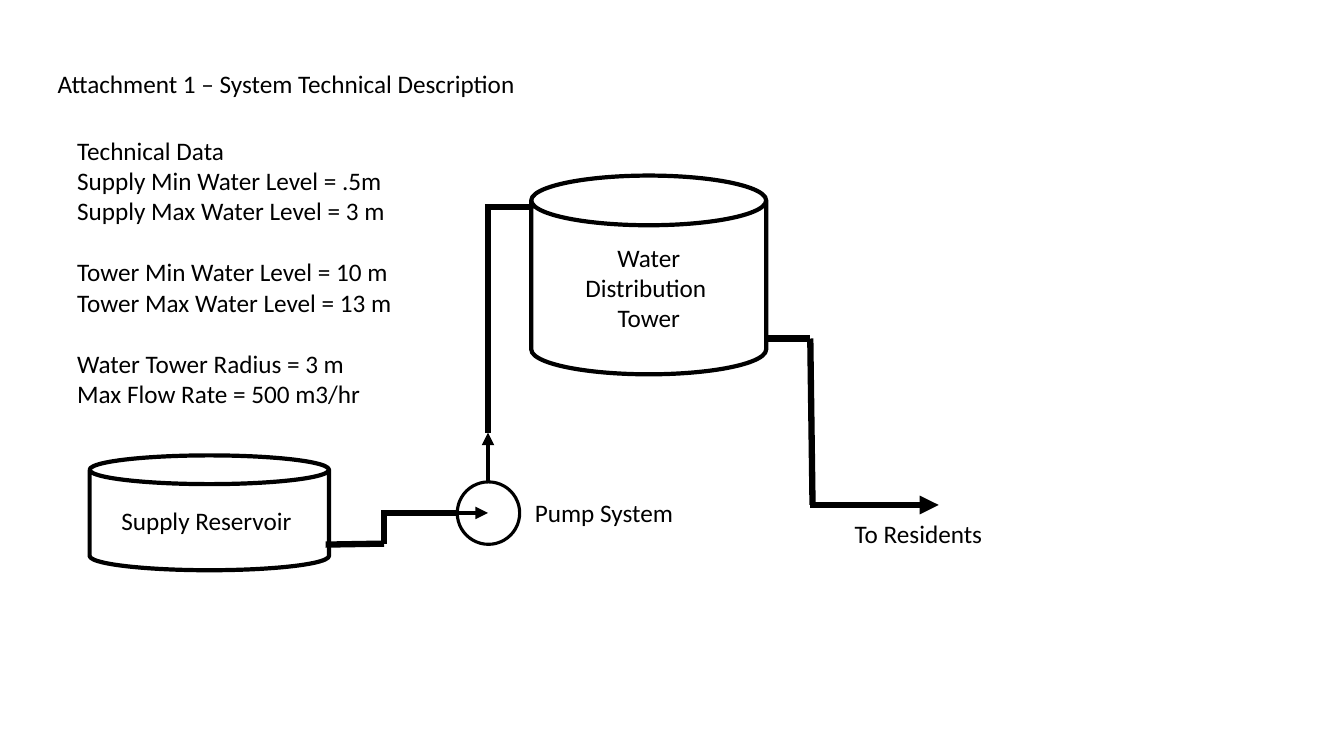
from dataclasses import dataclass

import pptx
import pptx.dml.color
import pptx.enum.shapes
import pptx.enum.text
import pptx.oxml
import pptx.oxml.ns
import pptx.util
from pptx.util import Pt

BLACK = "000000"
FONT = "Calibri"
TEXT_SIZE = 18
GROUP_GAP = 22  # one line of text
SHAPES = pptx.enum.shapes.MSO_SHAPE
ALIGN = pptx.enum.text.PP_ALIGN
ANCHOR = pptx.enum.text.MSO_ANCHOR


@dataclass
class Vessel:
    kind: int
    left: float
    top: float
    width: float
    height: float
    outline: float
    lines: tuple[str, ...] = ()


@dataclass
class Pipe:
    start: tuple[float, float]
    end: tuple[float, float]
    weight: float = 4.5
    arrow: bool = False


@dataclass
class Label:
    left: float
    top: float
    width: float
    height: float
    groups: tuple[tuple[str, ...], ...]


def colour(code: str) -> pptx.dml.color.RGBColor:
    return pptx.dml.color.RGBColor.from_string(code)


def write(frame, groups, align=ALIGN.LEFT) -> None:
    """Write one paragraph per line, with a gap before each later group."""
    first = True
    for group_index, group in enumerate(groups):
        for line_index, line in enumerate(group):
            para = frame.paragraphs[0] if first else frame.add_paragraph()
            first = False
            para.text = line
            para.alignment = align
            para.line_spacing = 1.0
            para.space_before = Pt(GROUP_GAP if group_index and not line_index else 0)
            para.font.name = FONT
            para.font.size = Pt(TEXT_SIZE)
            para.font.color.rgb = colour(BLACK)


def fill_label(box, label: Label) -> None:
    box.left, box.top = Pt(label.left), Pt(label.top)
    box.width, box.height = Pt(label.width), Pt(label.height)
    frame = box.text_frame
    frame.word_wrap = False
    frame.auto_size = pptx.enum.text.MSO_AUTO_SIZE.SHAPE_TO_FIT_TEXT
    frame.vertical_anchor = ANCHOR.TOP
    write(frame, label.groups)


def draw_vessel(page, vessel: Vessel) -> None:
    shape = page.shapes.add_shape(vessel.kind, Pt(vessel.left), Pt(vessel.top),
                                  Pt(vessel.width), Pt(vessel.height))
    shape.shadow.inherit = False
    shape.fill.background()
    shape.line.color.rgb = colour(BLACK)
    shape.line.width = Pt(vessel.outline)
    shape.text_frame.vertical_anchor = ANCHOR.MIDDLE
    write(shape.text_frame, (vessel.lines,), ALIGN.CENTER)


def draw_pipe(page, pipe: Pipe) -> None:
    ends = [Pt(value) for value in pipe.start + pipe.end]
    line = page.shapes.add_connector(pptx.enum.shapes.MSO_CONNECTOR.STRAIGHT, *ends)
    line.line.color.rgb = colour(BLACK)
    line.line.width = Pt(pipe.weight)
    if pipe.arrow:
        head = pptx.oxml.parse_xml(
            f'<a:tailEnd {pptx.oxml.ns.nsdecls("a")} type="triangle"/>')
        line.line._get_or_add_ln().append(head)
    properties = line._element.spPr
    properties.append(pptx.oxml.parse_xml(
        f'<a:effectLst {pptx.oxml.ns.nsdecls("a")}/>'))


TITLE = Label(34, 45.2, 345, 29, (("Attachment 1 – System Technical Description",),))

LABELS = (
    Label(603.4, 366.5, 106.5, 29, (("To Residents",),)),
    Label(48, 93, 246, 225, (
        ("Technical Data",
         "Supply Min Water Level = .5m ",
         "Supply Max Water Level = 3 m"),
        ("Tower Min Water Level = 10 m ",
         "Tower Max Water Level = 13 m"),
        ("Water Tower Radius = 3 m",
         "Max Flow Rate = 500 m3/hr"),
    )),
    Label(375, 351.5, 114.5, 29, (("Pump System",),)),
)

VESSELS = (
    Vessel(SHAPES.CAN, 64, 325.3, 171, 82, 3, ("Supply Reservoir ",)),
    Vessel(SHAPES.CAN, 379.5, 125.4, 167.8, 142, 3,
           ("Water", "Distribution ", "Tower")),
    Vessel(SHAPES.OVAL, 326.6, 344.2, 44.6, 44.6, 2.25),
)

PUMP_X, PUMP_Y = 348.6, 366.4
RISER_TOP, RISER_BASE = 147.8, 309
ELBOW_X = 274.3
OUTLET_X, OUTLET_Y, RESIDENTS_Y = 578.8, 241.8, 360.7

PIPES = (
    # Supply reservoir to pump
    Pipe((232.6, 389), (ELBOW_X, 388.3)),
    Pipe((ELBOW_X, 364.4), (ELBOW_X, 388.8)),
    Pipe((ELBOW_X, PUMP_Y), (327, PUMP_Y)),
    Pipe((318.5, PUMP_Y), (PUMP_X, PUMP_Y), 3, True),
    # Pump up to tower
    Pipe((PUMP_X, 344), (PUMP_X, RISER_BASE), 3, True),
    Pipe((PUMP_X, RISER_TOP), (PUMP_X, RISER_BASE)),
    Pipe((346.4, RISER_TOP), (379.5, RISER_TOP)),
    # Tower to residents
    Pipe((546, OUTLET_Y), (OUTLET_X, OUTLET_Y)),
    Pipe((OUTLET_X, OUTLET_Y), (580.4, RESIDENTS_Y)),
    Pipe((OUTLET_X, RESIDENTS_Y), (670.5, RESIDENTS_Y), 4.5, True),
)

deck = pptx.Presentation()
deck.slide_width, deck.slide_height = Pt(960), Pt(540)
page = deck.slides.add_slide(deck.slide_layouts.get_by_name("Title Only"))

# Title
fill_label(page.shapes.title, TITLE)

# Tanks and pump
for vessel in VESSELS:
    draw_vessel(page, vessel)

# Pipes and flow arrows
for pipe in PIPES:
    draw_pipe(page, pipe)

# Labels and technical data
for label in LABELS:
    fill_label(page.shapes.add_textbox(0, 0, 0, 0), label)

deck.save("out.pptx")
